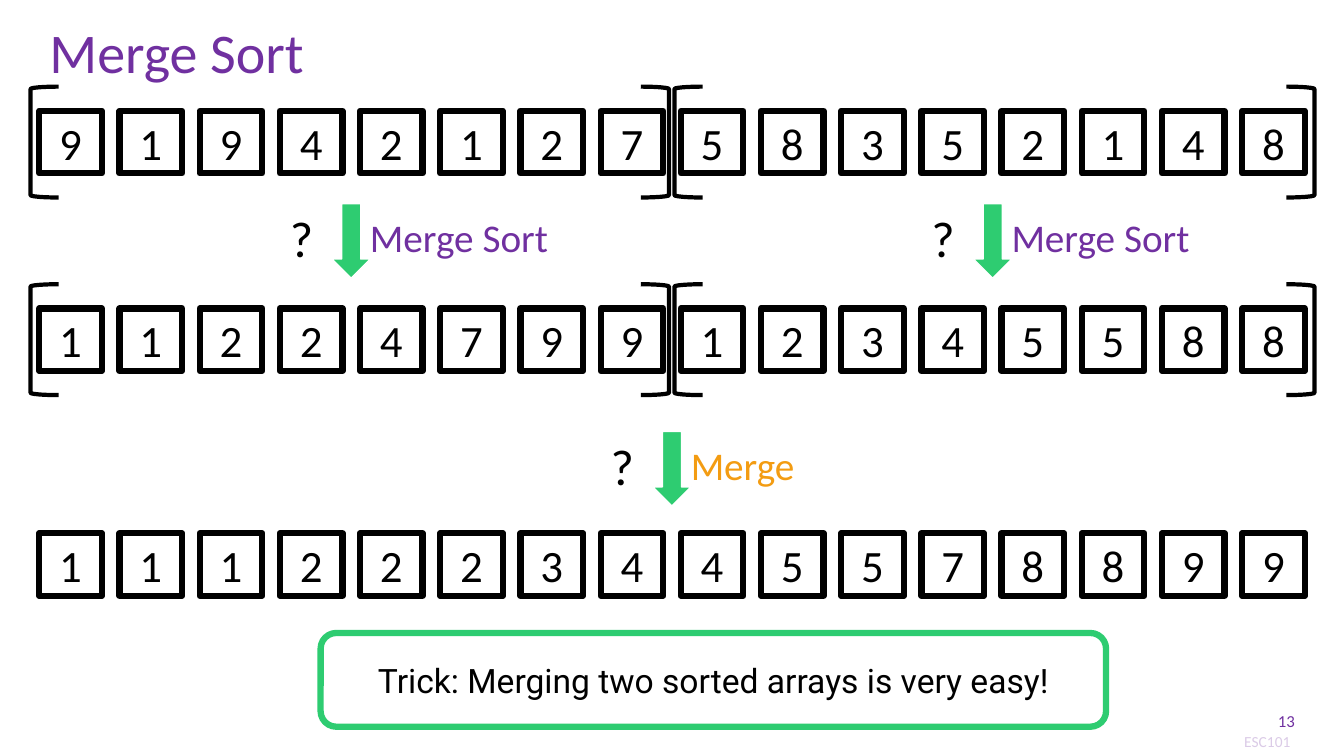
from lxml import etree
from pptx import Presentation, util as u
from pptx.dml.color import RGBColor
from pptx.enum import shapes, text
from pptx.oxml import ns

SHAPE, ALIGN, ANCHOR = shapes.MSO_SHAPE, text.PP_ALIGN, text.MSO_ANCHOR
BLACK, WHITE, PURPLE, GREEN, ORANGE = "000000", "FFFFFF", "7030A0", "2ECC71", "F39C12"


def rgb(value):
    return RGBColor.from_string(value)


def write(sp, words, size, color=BLACK, font="Calibri", align=ALIGN.LEFT,
          anchor=ANCHOR.MIDDLE, spacing=None):
    tf = sp.text_frame
    tf.word_wrap = True
    tf.vertical_anchor = anchor
    p = tf.paragraphs[0]
    p.alignment = align
    if spacing:
        p.line_spacing = spacing
    r = p.add_run()
    r.text = words
    r.font.size, r.font.name, r.font.color.rgb = u.Pt(size), font, rgb(color)


class MergeSlide:
    LEFT = 0.39
    PITCH = (12.32 - 0.39) / 15
    CELL = 0.62

    def __init__(self, prs):
        self.s = prs.slides.add_slide(prs.slide_layouts[5])

    def x(self, column):
        """Left edge, in inches, of a column of the sixteen-cell grid."""
        return self.LEFT + column * self.PITCH

    def title(self, words, *box):
        sp = self.s.shapes.title
        sp.left, sp.top, sp.width, sp.height = map(u.Inches, box)
        write(sp, words, 40, PURPLE, spacing=0.9)

    def shape(self, kind, *box, fill=None, line=None, weight=1):
        sp = self.s.shapes.add_shape(kind, *map(u.Inches, box))
        sp.shadow.inherit = False
        if fill:
            sp.fill.solid()
            sp.fill.fore_color.rgb = rgb(fill)
        else:
            sp.fill.background()
        if line:
            sp.line.color.rgb = rgb(line)
            sp.line.width = u.Pt(weight)
        else:
            sp.line.fill.background()
        return sp

    def label(self, words, *box, **style):
        sp = self.s.shapes.add_textbox(*map(u.Inches, box))
        write(sp, words, **style)

    def veil(self, *box, opacity):
        """White rectangle that lets part of what lies below show through."""
        sp = self.shape(SHAPE.RECTANGLE, *box, fill=WHITE)
        color = sp.fill._xPr.find(".//" + ns.qn("a:srgbClr"))
        etree.SubElement(color, ns.qn("a:alpha"), val=str(opacity * 1000))

    def array(self, y, digits):
        for column, digit in enumerate(digits):
            sp = self.shape(SHAPE.RECTANGLE, self.x(column), y, self.CELL, self.CELL,
                            fill=WHITE, line=BLACK, weight=4.5)
            write(sp, digit, 32, align=ALIGN.CENTER)

    def brackets(self, y):
        """Enclose each half of the array at height y."""
        for opening, closing in ((-0.11, 7.5), (7.92, 15.55)):
            for kind, column in ((SHAPE.LEFT_BRACKET, opening), (SHAPE.RIGHT_BRACKET, closing)):
                self.shape(kind, self.x(column), y - 0.24, 0.28, 1.1, line=BLACK, weight=3)

    def step(self, column, y, name, color):
        """Question mark, down arrow and the name of the operation."""
        self.shape(SHAPE.DOWN_ARROW, self.x(column + 0.65), y, 0.38, 0.74,
                   fill=GREEN, line=WHITE)
        self.label("?", self.x(column), y - 0.01, 0.8, 0.71, size=36, anchor=ANCHOR.TOP)
        self.label(name, self.x(column + 1), y + 0.05, 2.42, 0.57,
                   size=28, color=color, anchor=ANCHOR.TOP)


def main():
    prs = Presentation()
    prs.slide_width, prs.slide_height = u.Inches(13.33), u.Inches(7.5)
    m = MergeSlide(prs)

    m.label("ESC101", 11.8, 7.21, 1.54, 0.29, size=11, color=PURPLE,
            align=ALIGN.CENTER, anchor=ANCHOR.TOP)
    m.veil(11.8, 5.73, 1.54, 1.77, opacity=75)
    m.title("Merge Sort", 0.39, 0, 12.55, 1.1)
    m.label("13", 12.42, 6.95, 0.52, 0.4, size=12, color=PURPLE, align=ALIGN.RIGHT)

    for y, digits, halved in ((1.1, "9194212758352148", True),
                              (3.06, "1122479912345588", True),
                              (5.29, "1112223445578899", False)):
        m.array(y, digits)
        if halved:
            m.brackets(y)

    for column, y, name, color in ((3, 2.02, "Merge Sort", PURPLE),
                                   (11, 2.02, "Merge Sort", PURPLE),
                                   (7, 4.28, "Merge", ORANGE)):
        m.step(column, y, name, color)

    trick = m.shape(SHAPE.ROUNDED_RECTANGLE, 3.18, 6.28, 7.79, 0.93,
                    fill=WHITE, line=GREEN, weight=4.5)
    write(trick, "Trick: Merging two sorted arrays is very easy!", 24,
          font="Roboto", align=ALIGN.CENTER)

    prs.save("out.pptx")


if __name__ == "__main__":
    main()
